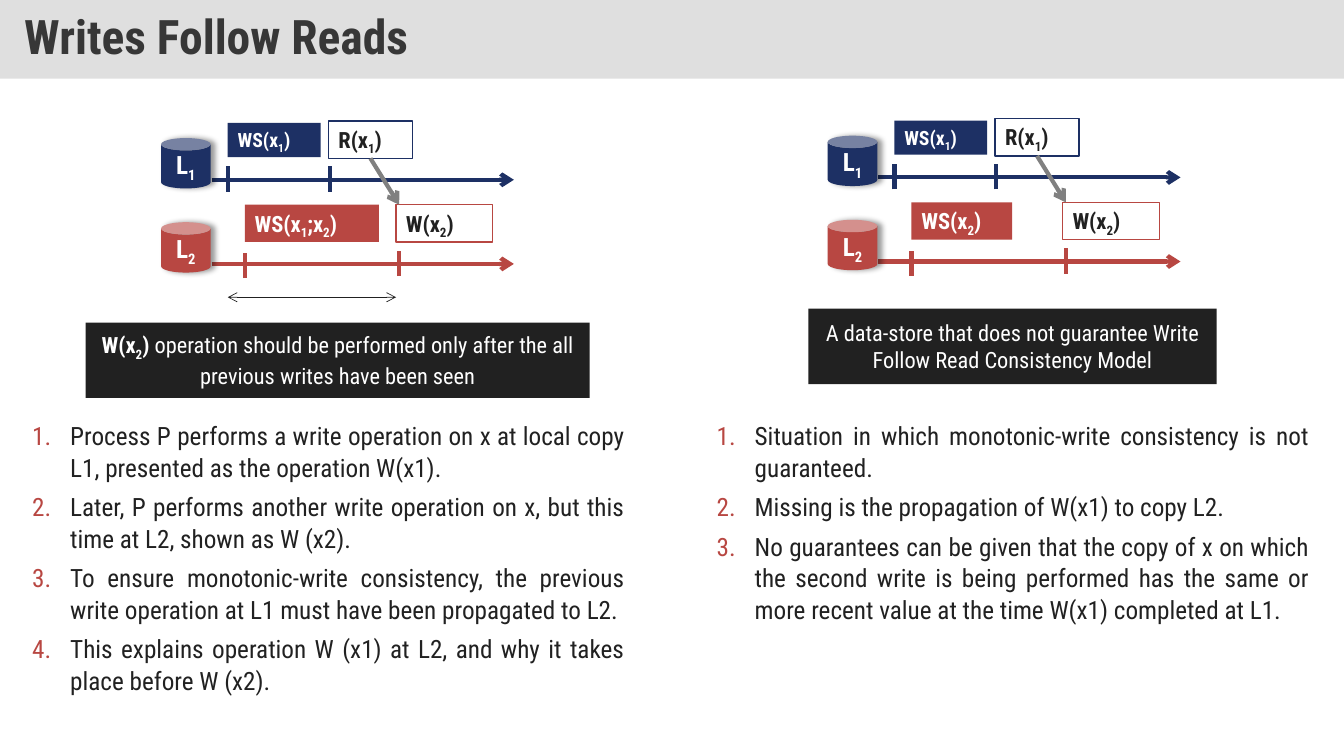
"""Build the slide that explains writes-follow-reads consistency."""
from dataclasses import dataclass
from typing import Any

import lxml.etree
import pptx
import pptx.dml.color
import pptx.enum.dml
import pptx.enum.shapes
import pptx.enum.text
import pptx.oxml
import pptx.oxml.ns
import pptx.util

Cm = pptx.util.Cm
Pt = pptx.util.Pt
RGBColor = pptx.dml.color.RGBColor
Align = pptx.enum.text.PP_ALIGN
Anchor = pptx.enum.text.MSO_ANCHOR
AutoSize = pptx.enum.text.MSO_AUTO_SIZE
Preset = pptx.enum.shapes.MSO_SHAPE
qn = pptx.oxml.ns.qn

NAVY = RGBColor(0x1D, 0x30, 0x64)
RED = RGBColor(0xB8, 0x47, 0x42)
INK = RGBColor(0x21, 0x21, 0x21)
TITLE_INK = RGBColor(0x37, 0x37, 0x37)
SILVER = RGBColor(0xC0, 0xC0, 0xC0)
GRAY = RGBColor(0x80, 0x80, 0x80)
WHITE = RGBColor(0xFF, 0xFF, 0xFF)
BLACK = RGBColor(0x00, 0x00, 0x00)
FONT = "Roboto Condensed"


@dataclass(frozen=True)
class Box:
    left: float
    top: float
    width: float
    height: float
    text: str
    fill: RGBColor
    outline: RGBColor | None = None
    size: int = 16
    preset: Any = Preset.RECTANGLE
    centred: bool = False
    bold: bool = True
    plain_tail: str = ""


@dataclass(frozen=True)
class Stroke:
    start: tuple[float, float]
    end: tuple[float, float]
    color: RGBColor
    width: float = 3
    head: bool = False
    tail: bool = False


@dataclass(frozen=True)
class Panel:
    dx: float
    dy: float
    second_write_set: str
    second_write_set_width: float
    caption: Box
    list_left: float
    list_height: float
    points: tuple[str, ...]


READ_BOX = Box(8.28, 3.05, 2.11, 0.94, "R(x_1)", WHITE, NAVY)
BOXES = (
    Box(4.06, 3.48, 1.25, 1.27, "L_1", NAVY, size=18, preset=Preset.CAN, centred=True),
    Box(4.06, 5.6, 1.25, 1.27, "L_2", RED, size=18, preset=Preset.CAN, centred=True),
    Box(9.98, 5.16, 2.44, 0.94, "W(x_2)", WHITE, RED),
    Box(5.74, 3.1, 2.34, 0.86, "WS(x_1)", NAVY, size=14),
)
STROKES = (
    Stroke((5.33, 4.53), (12.95, 4.53), NAVY, tail=True),
    Stroke((5.33, 6.65), (12.95, 6.65), RED, tail=True),
    Stroke((5.74, 4.83), (5.74, 4.19), NAVY),
    Stroke((8.31, 4.83), (8.31, 4.19), NAVY),
    Stroke((6.17, 7.01), (6.17, 6.38), RED),
    Stroke((10.06, 6.96), (10.06, 6.32), RED),
)
READ_TO_WRITE = Stroke((9.34, 3.99), (10.06, 5.16), GRAY, tail=True)
WAIT_SPAN = Stroke((5.74, 7.49), (9.98, 7.49), INK, 0.5, head=True, tail=True)

PANELS = (
    Panel(0, 0, "WS(x_1;x_2)", 3.38,
          Box(2.16, 8.13, 12.7, 1.9, "W(x_2)", INK, centred=True,
              plain_tail=" operation should be performed only after the all previous writes have been seen"),
          0.56, 7.49, (
              "Process P performs a write operation on x at local copy L1, presented as the operation W(x1).",
              "Later, P performs another write operation on x, but this time at L2, shown as W (x2).",
              "To ensure monotonic-write consistency, the previous write operation at L1 must have been propagated to L2.",
              "This explains operation W (x1) at L2, and why it takes place before W (x2).")),
    Panel(16.8, -0.06, "WS(x_2)", 2.54,
          Box(3.57, 7.84, 10.29, 1.9, "A data-store that does not guarantee Write Follow Read Consistency Model",
              INK, centred=True, bold=False),
          17.81, 5.77, (
              "Situation in which monotonic-write consistency is not guaranteed.",
              "Missing is the propagation of W(x1) to copy L2.",
              "No guarantees can be given that the copy of x on which the second write is being performed "
              "has the same or more recent value at the time W(x1) completed at L1.")),
)


def apply(target: Any, values: dict[str, Any]) -> None:
    for name, value in values.items():
        setattr(target, name, value)


def add_run(paragraph: Any, text: str, size: float, color: RGBColor, bold: bool = False) -> Any:
    run = paragraph.add_run()
    run.text = text
    apply(run.font, {"name": FONT, "size": Pt(size), "bold": bold})
    run.font.color.rgb = color
    return run


def add_label(paragraph: Any, text: str, size: float, color: RGBColor, bold: bool) -> None:
    first, *pieces = text.split("_")
    add_run(paragraph, first, size, color, bold)
    for piece in pieces:
        subscript = add_run(paragraph, piece[0], size, color, bold)
        subscript.font._element.set("baseline", "-25000")
        if piece[1:]:
            add_run(paragraph, piece[1:], size, color, bold)


def add_can_shadow(shape: Any) -> None:
    effects = shape._element.spPr.find(qn("a:effectLst"))
    shadow = lxml.etree.SubElement(effects, qn("a:outerShdw"), blurRad=str(Pt(4)), dist=str(Pt(3)), dir="0")
    color = lxml.etree.SubElement(shadow, qn("a:srgbClr"), val=str(BLACK))
    lxml.etree.SubElement(color, qn("a:alpha"), val="40000")


def add_box(slide: Any, box: Box, dx: float, dy: float) -> Any:
    shape = slide.shapes.add_shape(box.preset, Cm(box.left + dx), Cm(box.top + dy), Cm(box.width), Cm(box.height))
    shape.shadow.inherit = False
    shape.fill.solid()
    shape.fill.fore_color.rgb = box.fill
    if box.outline is None:
        shape.line.fill.background()
    else:
        shape.line.color.rgb = box.outline
        shape.line.width = Pt(1)
    if box.preset == Preset.CAN:
        add_can_shadow(shape)
    apply(shape.text_frame, {
        "word_wrap": True,
        "vertical_anchor": Anchor.MIDDLE if box.centred else Anchor.TOP,
        "auto_size": AutoSize.NONE if box.centred else AutoSize.SHAPE_TO_FIT_TEXT})
    paragraph = shape.text_frame.paragraphs[0]
    paragraph.alignment = Align.CENTER if box.centred else Align.LEFT
    color = INK if box.fill == WHITE else WHITE
    add_label(paragraph, box.text, box.size, color, box.bold)
    if box.plain_tail:
        add_run(paragraph, box.plain_tail, box.size, color)
    return shape


def add_stroke(slide: Any, stroke: Stroke, dx: float, dy: float) -> Any:
    ends = [Cm(value + shift) for point in (stroke.start, stroke.end) for value, shift in zip(point, (dx, dy))]
    connector = slide.shapes.add_connector(pptx.enum.shapes.MSO_CONNECTOR.STRAIGHT, *ends)
    connector.line.color.rgb = stroke.color
    connector.line.width = Pt(stroke.width)
    for tag, shown in (("a:headEnd", stroke.head), ("a:tailEnd", stroke.tail)):
        if shown:
            lxml.etree.SubElement(connector.line._get_or_add_ln(), qn(tag), type="arrow")
    lxml.etree.SubElement(connector._element.spPr, qn("a:effectLst"))
    return connector


def add_points(slide: Any, panel: Panel) -> None:
    frame = slide.shapes.add_textbox(Cm(panel.list_left), Cm(10.44), Cm(15.44), Cm(panel.list_height)).text_frame
    frame.word_wrap = True
    for index, point in enumerate(panel.points):
        paragraph = frame.add_paragraph() if index else frame.paragraphs[0]
        apply(paragraph, {"alignment": Align.JUSTIFY, "line_spacing": 1.04, "space_before": Pt(5.8 if index else 0)})
        properties = paragraph._p.get_or_add_pPr()
        apply_indent = {"marL": str(Cm(0.96)), "indent": str(-Cm(0.96))}
        for name, value in apply_indent.items():
            properties.set(name, value)
        bullet_color = lxml.etree.SubElement(properties, qn("a:buClr"))
        lxml.etree.SubElement(bullet_color, qn("a:srgbClr"), val=str(RED))
        lxml.etree.SubElement(properties, qn("a:buFont"), typeface="+mj-lt")
        lxml.etree.SubElement(properties, qn("a:buAutoNum"), type="arabicPeriod")
        add_run(paragraph, point, 18, INK)


def format_title(title: Any) -> None:
    apply(title, {"left": Cm(0), "top": Cm(0), "width": Cm(33.87), "height": Cm(1.98)})
    title.fill.solid()
    title.fill.fore_color.rgb = SILVER
    color = title._element.spPr.find(qn("a:solidFill")).find(qn("a:srgbClr"))
    lxml.etree.SubElement(color, qn("a:alpha"), val="50000")
    apply(title.text_frame, {
        "margin_left": Cm(0.61), "margin_right": Cm(0.61), "margin_top": Cm(0.3), "margin_bottom": Cm(0.3),
        "word_wrap": True, "vertical_anchor": Anchor.MIDDLE, "auto_size": AutoSize.NONE})
    paragraph = title.text_frame.paragraphs[0]
    apply(paragraph, {"alignment": Align.LEFT, "line_spacing": 0.9})
    add_run(paragraph, "Writes Follow Reads", 34, TITLE_INK, True)


def add_panel(slide: Any, panel: Panel) -> None:
    write_set = Box(6.17, 5.16, panel.second_write_set_width, 0.94, panel.second_write_set, RED)
    for stroke in STROKES:
        add_stroke(slide, stroke, panel.dx, panel.dy)
    for box in (*BOXES, write_set, panel.caption):
        add_box(slide, box, panel.dx, panel.dy)
    read_shape = add_box(slide, READ_BOX, panel.dx, panel.dy)
    add_stroke(slide, READ_TO_WRITE, panel.dx, panel.dy).begin_connect(read_shape, 2)
    add_points(slide, panel)


def main() -> None:
    presentation = pptx.Presentation()
    apply(presentation, {"slide_width": Cm(33.87), "slide_height": Cm(19.05)})
    slide = presentation.slides.add_slide(presentation.slide_layouts[5])
    format_title(slide.shapes.title)
    for panel in PANELS:
        add_panel(slide, panel)
    add_stroke(slide, WAIT_SPAN, 0, 0)
    presentation.save("out.pptx")


if __name__ == "__main__":
    main()
